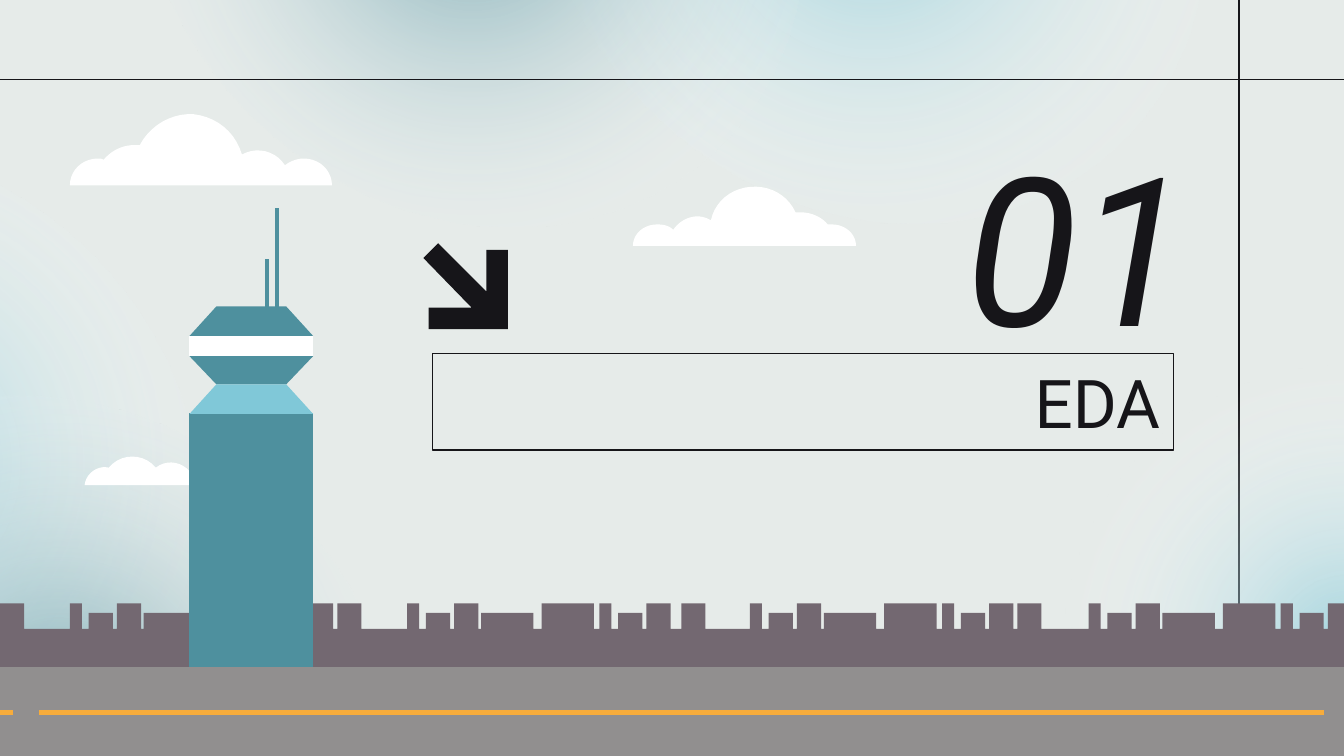
import pptx
import pptx.util
import pptx.dml.color
import pptx.enum.shapes
import pptx.enum.text
import pptx.oxml
import pptx.oxml.ns

Inches = pptx.util.Inches
W, H = 10, 10 * 9 / 16
INK, TEAL, AQUA, WHITE = "161519", "4E909E", "80C8D8", "FFFFFF"
PLUM, ASPHALT, AMBER = "736871", "918F8F", "F7AC3B"

# Clouds: a start point, then curves (6 numbers) and lines (2 numbers)
BIG_CLOUD = [(1.74, .34), (1.69, .34, 1.64, .36, 1.6, .39),
             (1.53, .28, 1.39, .25, 1.28, .31), (1.23, .14, 1.09, .03, .92, .01),
             (.76, 0, .6, .09, .52, .24), (.51, .24, .49, .24, .48, .24),
             (.39, .24, .31, .28, .25, .35), (.24, .34, .22, .34, .21, .34),
             (.09, .34, 0, .43, 0, .54), (1.95, .54), (1.95, .43, 1.86, .34, 1.74, .34)]
MID_CLOUD = [(.18, .29), (.23, .29, .27, .3, .3, .33), (.34, .27, .41, .23, .48, .23),
             (.51, .23, .55, .24, .58, .26), (.61, .12, .73, .02, .88, .01),
             (1.02, 0, 1.15, .07, 1.21, .2), (1.23, .2, 1.24, .2, 1.25, .2),
             (1.32, .2, 1.4, .23, 1.45, .29), (1.46, .29, 1.47, .29, 1.48, .29),
             (1.58, .29, 1.66, .36, 1.66, .45), (0, .45), (0, .36, .08, .29, .18, .29)]
SMALL_CLOUD = [(.96, .24), (0, .24), (.01, .15, .1, .09, .18, .11),
               (.27, 0, .44, 0, .53, .11), (.62, .04, .74, .07, .8, .16),
               (.87, .13, .94, .17, .96, .24)]

# Skyline block: left, right, is it tall
BUILDINGS = [(0, .09, True), (.14, .32, False), (.35, .53, True), (.55, .94, False),
             (1, 1.39, True), (1.43, 1.52, True), (1.57, 1.75, False), (1.78, 1.96, True)]
BLOCKS = [(.52, 2.51), (3.03, 5.07), (5.58, 7.57), (8.1, None)]  # start, closing building


def color(value):
    return pptx.dml.color.RGBColor.from_string(value)


def add_outline(s, points, x, y, fill):
    """Closed filled outline; points are inches from (x, y)."""
    pts = [(Inches(x + px), Inches(y + py)) for px, py in points]
    builder = s.shapes.build_freeform(*pts[0])
    builder.add_line_segments(pts[1:], close=True)
    sp = builder.convert_to_shape()
    sp.shadow.inherit = False
    sp.fill.solid()
    sp.fill.fore_color.rgb = color(fill)
    sp.line.fill.background()


def add_block(s, x, y, w, h, fill):
    add_outline(s, [(0, 0), (w, 0), (w, h), (0, h)], x, y, fill)


def add_line(s, x1, y1, x2, y2, stroke, width):
    ln = s.shapes.add_connector(pptx.enum.shapes.MSO_CONNECTOR.STRAIGHT,
                                Inches(x1), Inches(y1), Inches(x2), Inches(y2))
    ln.line.color.rgb = color(stroke)
    ln.line.width = pptx.util.Pt(width)
    ln._element.spPr.append(pptx.oxml.parse_xml(
        f'<a:effectLst {pptx.oxml.ns.nsdecls("a")}/>'))


def add_glow(s, x, y, rotation, tint, alpha):
    """Ellipse that fades from its centre to nothing."""
    sp = s.shapes.add_shape(pptx.enum.shapes.MSO_SHAPE.OVAL,
                            Inches(x), Inches(y), Inches(5.22), Inches(4.6))
    sp.rotation = rotation
    sp.shadow.inherit = False
    sp.line.fill.background()
    stops = "".join(
        f'<a:gs pos="{pos * 1000}"><a:srgbClr val="{c}"><a:alpha val="{a * 1000}"/>'
        '</a:srgbClr></a:gs>'
        for pos, c, a in [(0, tint, alpha), (58, WHITE, 0), (100, WHITE, 0)])
    grad = pptx.oxml.parse_xml(
        f'<a:gradFill {pptx.oxml.ns.nsdecls("a")} rotWithShape="1"><a:gsLst>{stops}</a:gsLst>'
        '<a:path path="circle"><a:fillToRect l="50000" t="50000" r="50000" b="50000"/>'
        '</a:path></a:gradFill>')
    sp._element.spPr.find(pptx.oxml.ns.qn("a:prstGeom")).addnext(grad)


def add_cloud(s, x, y, path, steps=10):
    """Cloud whose Bézier curves are sampled into short segments."""
    points = [path[0]]
    for seg in path[1:]:
        if len(seg) == 2:
            points.append(seg)
            continue
        ctrl = [points[-1], seg[0:2], seg[2:4], seg[4:6]]
        for i in range(1, steps + 1):
            t = i / steps
            weights = ((1 - t) ** 3, 3 * t * (1 - t) ** 2, 3 * t * t * (1 - t), t ** 3)
            points.append(tuple(sum(k * c[axis] for k, c in zip(weights, ctrl))
                                for axis in (0, 1)))
    add_outline(s, points, x, y, WHITE)


def add_skyline(s, x, y, w, h):
    ground, low = .19, .07
    spans = [(0, .18, True)]
    for start, closing in BLOCKS:
        spans += [(start + a, start + b, tall) for a, b, tall in BUILDINGS]
        if closing:
            spans.append((closing, closing + .18, True))
    points = [(0, h)]
    for left, right, tall in spans:
        top = 0 if tall else low
        points += [(left, ground), (left, top), (right, top), (right, ground)]
    add_outline(s, points + [(w, h)], x, y, PLUM)


def add_road(s, x, y, w, h):
    add_block(s, x, y, w, h, ASPHALT)
    add_line(s, x + .29, y + .34, x + 9.85, y + .34, AMBER, 2.56)


def add_tower(s, x, y, w, h):
    wide, narrow = (0, w), (.2, w - .2)
    add_block(s, x, y + .95, w, .15, WHITE)          # window band
    add_block(s, x, y + 1.52, w, h - 1.52, TEAL)     # shaft
    for top, bottom, upper, lower, fill in [(1.1, 1.31, wide, narrow, TEAL),
                                            (.73, .95, narrow, wide, TEAL),
                                            (1.31, 1.53, narrow, wide, AQUA)]:
        add_outline(s, [(upper[0], top), (upper[1], top), (lower[1], bottom),
                        (lower[0], bottom)], x, y, fill)
    for left, top in [(.64, 0), (.56, .38)]:         # antennas
        add_block(s, x + left, y + top, .03, .83 - top, TEAL)


def add_text(sp, text, size, italic=False):
    tf = sp.text_frame
    tf.word_wrap = True
    tf.vertical_anchor = pptx.enum.text.MSO_ANCHOR.MIDDLE
    tf.margin_left = tf.margin_right = tf.margin_top = tf.margin_bottom = Inches(.1)
    p = tf.paragraphs[0]
    p.alignment = pptx.enum.text.PP_ALIGN.RIGHT
    r = p.add_run()
    r.text = text
    r.font.name = "Roboto"
    r.font.size = pptx.util.Pt(size)
    r.font.italic = italic
    r.font.color.rgb = color(INK)


def add_heading(s, x, y, w, h):
    # Framed title
    sp = s.shapes.add_shape(pptx.enum.shapes.MSO_SHAPE.RECTANGLE,
                            Inches(x), Inches(y + 1.4), Inches(w), Inches(h - 1.4))
    sp.shadow.inherit = False
    sp.fill.background()
    sp.line.color.rgb = color(INK)
    sp.line.width = pptx.util.Pt(.75)
    add_text(sp, "EDA", 36)
    # Section number
    box = s.shapes.add_textbox(Inches(x + 3.28), Inches(y), Inches(2.46), Inches(1.17))
    add_text(box, "01", 111, italic=True)


def add_arrow(s, x, y):
    add_outline(s, [(.11, 0), (0, .11), (.36, .48), (.04, .48), (.04, .64), (.63, .64),
                    (.63, .05), (.47, .05), (.47, .36)], x, y, INK)


def main():
    prs = pptx.Presentation()
    prs.slide_width, prs.slide_height = Inches(W), Inches(H)
    s = prs.slides.add_slide(prs.slide_layouts[6])
    s.background.fill.solid()
    s.background.fill.fore_color.rgb = color("E6EBE9")

    # Backdrop
    add_line(s, 9.22, 0, 9.22, H, INK, .75)
    for glow in [(3.88, -3.08, 42, AQUA, 68), (.9, -3.06, 42, TEAL, 68),
                 (6.11, 4.36, 356.7, TEAL, 81), (7.42, 2.54, 356.7, AQUA, 68),
                 (-3.65, 1.14, 33.5, AQUA, 68), (-2.18, 3.04, 33.5, TEAL, 68)]:
        add_glow(s, *glow)
    add_line(s, 0, .59, W, .59, INK, .75)

    # Scenery
    add_skyline(s, 0, 4.49, 10.06, .48)
    add_road(s, 0, 4.96, 10.06, .7)
    for x, y, path in [(.52, .84, BIG_CLOUD), (4.71, 1.38, MID_CLOUD),
                       (.63, 3.37, SMALL_CLOUD)]:
        add_cloud(s, x, y, path)

    # Heading and foreground
    add_heading(s, 3.22, 1.23, 5.51, 2.12)
    add_tower(s, 1.41, 1.55, .92, 3.41)
    add_line(s, 0, 5.3, .1, 5.3, AMBER, 2.56)
    add_arrow(s, 3.15, 1.81)
    prs.save("out.pptx")


if __name__ == "__main__":
    main()
